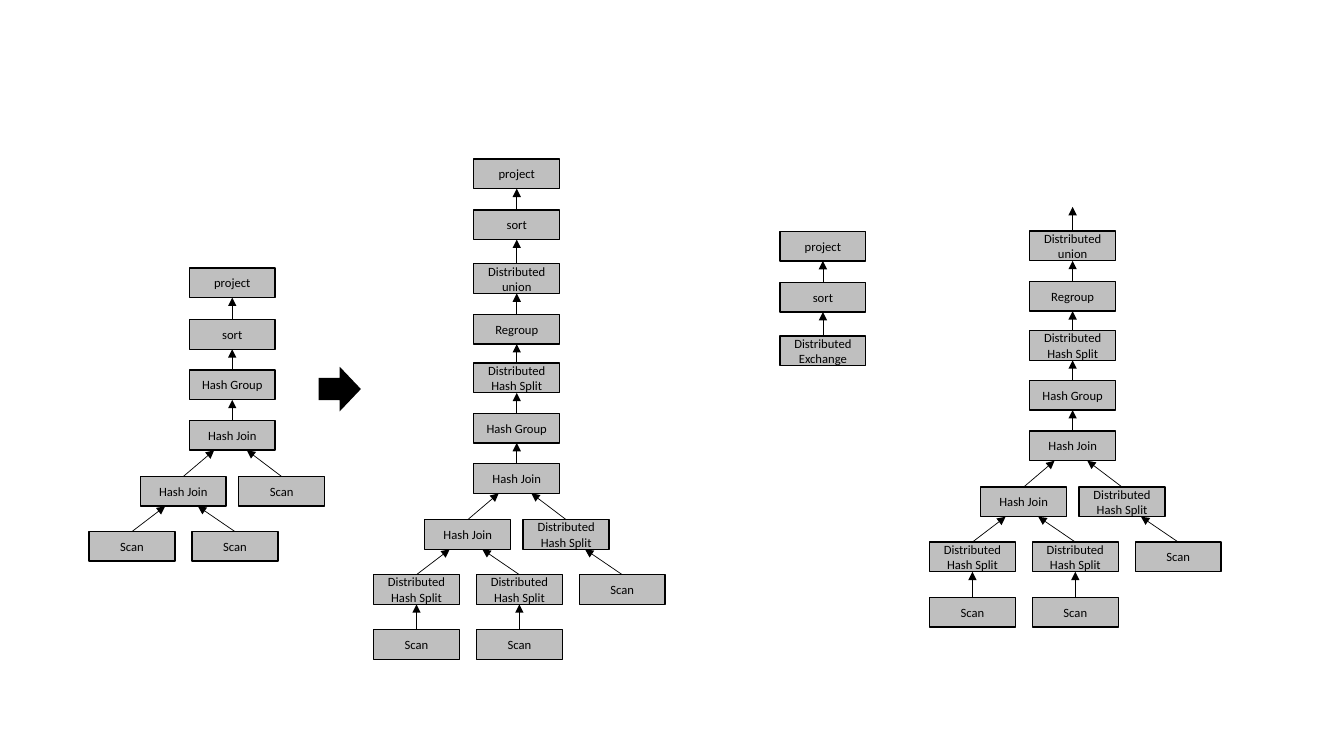
from lxml import etree
from pptx import Presentation
from pptx.dml.color import RGBColor
from pptx.enum import shapes, text
from pptx.oxml import ns
from pptx.util import Pt

COLORS = {"box": "BFBFBF", "ink": "000000"}
FONT = "Calibri"
BOX_WIDTH, BOX_HEIGHT = 61.4, 21.2
LEFT_SHARE, RIGHT_SHARE = 0.29, 0.67
INNER_DROP, LEAF_DROP, DEEP_DROP = 40, 79.3, 118.7
SPLIT = "Distributed Hash Split"


def color(name):
    return RGBColor.from_string(COLORS[name])


def add_box(page, left, top, label):
    box = page.shapes.add_shape(shapes.MSO_SHAPE.RECTANGLE, Pt(left), Pt(top),
                                Pt(BOX_WIDTH), Pt(BOX_HEIGHT))
    box.shadow.inherit = False
    box.fill.solid()
    box.fill.fore_color.rgb = color("box")
    box.line.color.rgb = color("ink")
    box.line.width = Pt(1)
    frame = box.text_frame
    frame.word_wrap = True
    frame.vertical_anchor = text.MSO_ANCHOR.MIDDLE
    para = frame.paragraphs[0]
    para.alignment = text.PP_ALIGN.CENTER
    span = para.add_run()
    span.text = label
    span.font.name = FONT
    span.font.size = Pt(9)
    span.font.color.rgb = color("ink")
    return box


def add_arrow(page, child, end_x, end_y):
    arrow = page.shapes.add_connector(shapes.MSO_CONNECTOR.STRAIGHT,
                                      child.left + child.width // 2, child.top,
                                      end_x, end_y)
    arrow.begin_connect(child, 0)
    arrow.line.color.rgb = color("ink")
    arrow.line.width = Pt(0.5)
    line = arrow.line._get_or_add_ln()
    etree.SubElement(line, ns.qn("a:tailEnd"), type="triangle")
    etree.SubElement(arrow._element.spPr, ns.qn("a:effectLst"))
    return arrow


def join_up(page, child, parent, share=0.5):
    end_x = parent.left + round(parent.width * share)
    arrow = add_arrow(page, child, end_x, parent.top + parent.height)
    if share == 0.5:
        arrow.end_connect(parent, 2)


def add_chain(page, left, steps):
    boxes = [add_box(page, left, top, label) for label, top in steps]
    for parent, child in zip(boxes, boxes[1:]):
        join_up(page, child, parent)
    return boxes


def add_join_tree(page, left, steps, distributed):
    boxes = add_chain(page, left, steps)
    join, join_top = boxes[-1], steps[-1][1]
    branch = SPLIT if distributed else "Scan"

    inner = add_box(page, left - 35, join_top + INNER_DROP, "Hash Join")
    right = add_box(page, left + 35.3, join_top + INNER_DROP, branch)
    join_up(page, inner, join, LEFT_SHARE)
    join_up(page, right, join, RIGHT_SHARE)

    for offset, share in ((-71.6, LEFT_SHARE), (1.9, RIGHT_SHARE)):
        leaf = add_box(page, left + offset, join_top + LEAF_DROP, branch)
        join_up(page, leaf, inner, share)
        if distributed:
            scan = add_box(page, left + offset, join_top + DEEP_DROP, "Scan")
            join_up(page, scan, leaf)

    if distributed:
        scan = add_box(page, left + 75.4, join_top + LEAF_DROP, "Scan")
        join_up(page, scan, right, 0.72)
    return boxes


def add_step_arrow(page, left, top, width, height):
    step = page.shapes.add_shape(shapes.MSO_SHAPE.RIGHT_ARROW, Pt(left), Pt(top),
                                 Pt(width), Pt(height))
    step.shadow.inherit = False
    step.fill.solid()
    step.fill.fore_color.rgb = color("ink")
    step.line.fill.background()


def main():
    deck = Presentation()
    deck.slide_width, deck.slide_height = Pt(960), Pt(540)
    page = deck.slides.add_slide(deck.slide_layouts[6])

    add_join_tree(page, 135.2, [
        ("project", 191.4), ("sort", 228.3), ("Hash Group", 264.4),
        ("Hash Join", 300.4)], distributed=False)
    add_step_arrow(page, 227.6, 262, 30.2, 31.8)
    add_join_tree(page, 338.4, [
        ("project", 113.6), ("sort", 149.9), ("Distributed union", 188.4),
        ("Regroup", 224.6), (SPLIT, 259.4), ("Hash Group", 295.2),
        ("Hash Join", 331.2)], distributed=True)

    add_chain(page, 557.1, [
        ("project", 165.2), ("sort", 201.7), ("Distributed Exchange", 239.9)])
    lower_plan = add_join_tree(page, 735.5, [
        ("Distributed union", 165.1), ("Regroup", 201.1), (SPLIT, 236.2),
        ("Hash Group", 271.7), ("Hash Join", 307.9)], distributed=True)
    union = lower_plan[0]
    add_arrow(page, union, union.left + union.width // 2, union.top - Pt(17.3))

    deck.save("out.pptx")


if __name__ == "__main__":
    main()
